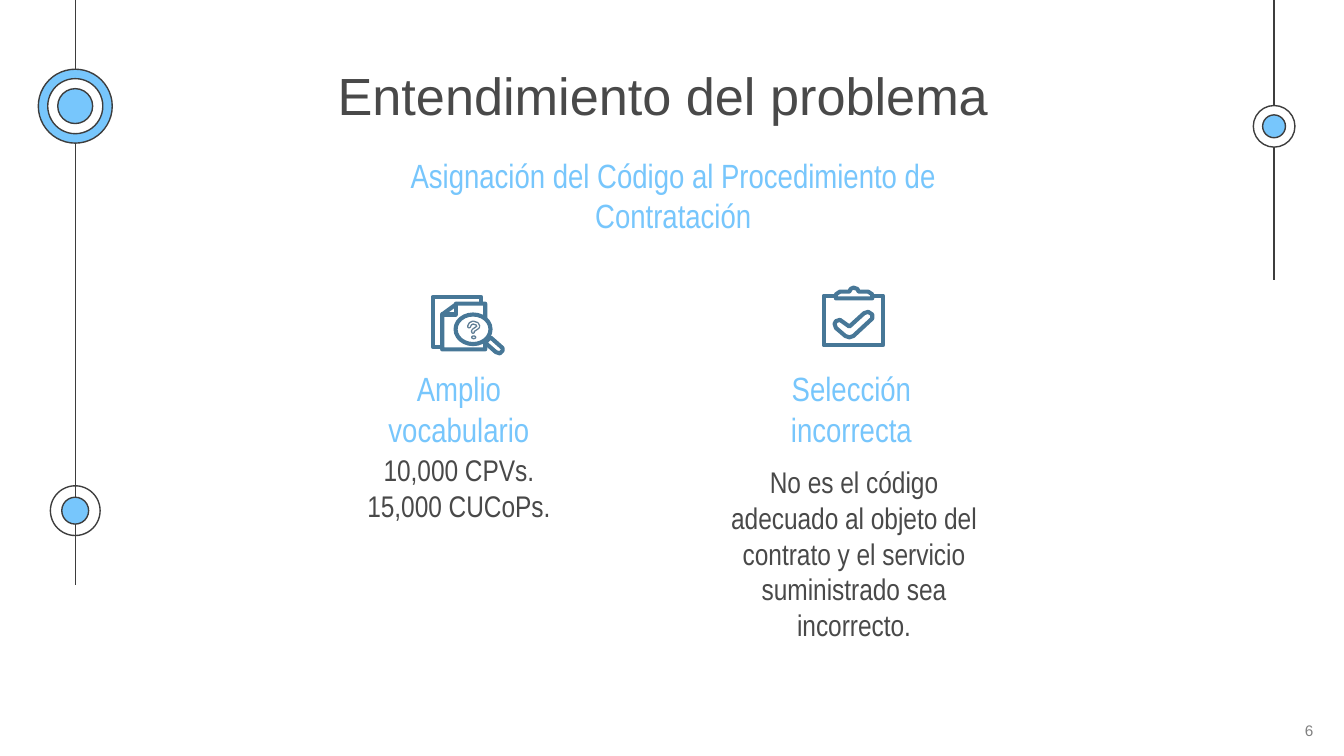
from dataclasses import dataclass

import pptx
import pptx.dml.color
import pptx.enum.shapes
import pptx.enum.text
import pptx.oxml
import pptx.util
from pptx.util import Inches


def rgb(value):
    return pptx.dml.color.RGBColor.from_string(value)


@dataclass(frozen=True)
class Theme:
    ink = rgb("494949")
    rule = rgb("3D3D3D")
    accent = rgb("77C6FC")
    icon = rgb("477797")
    mark = rgb("5F7D95")
    muted = rgb("808080")
    white = rgb("FFFFFF")
    body_font = "Arial Narrow"
    head_font = "Arial"
    title_size = 28
    heading_size = 18
    body_size = 16
    number_size = 8.2
    rule_width = 0.75
    icon_width = 2.2


THEME = Theme()
ANCHOR = pptx.enum.text.MSO_ANCHOR
ALIGN = pptx.enum.text.PP_ALIGN


def apply_format(target, values):
    for name, value in values.items():
        setattr(target, name, value)


def write_text(box, lines, size, color, font=THEME.body_font,
               align=ALIGN.CENTER, inset_y=0.1):
    frame = box.text_frame
    apply_format(frame, {
        "word_wrap": True, "vertical_anchor": ANCHOR.TOP,
        "auto_size": pptx.enum.text.MSO_AUTO_SIZE.NONE,
        "margin_left": Inches(0.1), "margin_right": Inches(0.1),
        "margin_top": Inches(inset_y), "margin_bottom": Inches(inset_y),
    })
    for index, line in enumerate(lines):
        para = frame.add_paragraph() if index else frame.paragraphs[0]
        apply_format(para, {"alignment": align, "line_spacing": 1.0,
                            "space_before": pptx.util.Pt(0)})
        span = para.add_run()
        span.text = line
        apply_format(span.font, {"name": font, "bold": False,
                                 "size": pptx.util.Pt(size)})
        span.font.color.rgb = color


def add_text(page, area, lines, size, color, **options):
    box = page.shapes.add_textbox(*map(Inches, area))
    write_text(box, lines, size, color, **options)


def add_title(page, area, text):
    title = page.shapes.title
    places = dict(zip(("left", "top", "width", "height"), map(Inches, area)))
    apply_format(title, places)
    write_text(title, [text], THEME.title_size, THEME.ink, THEME.head_font)


def add_rule(page, x, bottom):
    """Draw a vertical line from the top edge of the slide."""
    rule = page.shapes.add_connector(
        pptx.enum.shapes.MSO_CONNECTOR.STRAIGHT,
        Inches(x), 0, Inches(x), Inches(bottom))
    rule.line.color.rgb = THEME.rule
    rule.line.width = pptx.util.Pt(THEME.rule_width)
    rule._element.spPr.append(pptx.oxml.parse_xml(
        '<a:effectLst xmlns:a='
        '"http://schemas.openxmlformats.org/drawingml/2006/main"/>'))


def style_shape(shape, fill, color, width):
    shape.shadow.inherit = False
    if fill is None:
        shape.fill.background()
    else:
        shape.fill.solid()
        shape.fill.fore_color.rgb = fill
    shape.line.color.rgb = color
    shape.line.width = pptx.util.Pt(width)


def add_oval(page, area, fill, color, width):
    oval = page.shapes.add_shape(
        pptx.enum.shapes.MSO_SHAPE.OVAL, *map(Inches, area))
    style_shape(oval, fill, color, width)


def add_target(page, x, y, rings):
    """Draw concentric circles from (diameter, fill) pairs, largest first."""
    for size, fill in rings:
        add_oval(page, (x - size / 2, y - size / 2, size, size),
                 fill, THEME.rule, THEME.rule_width)


def add_stroke(page, points, close=False, fill=None, color=THEME.icon,
               width=THEME.icon_width):
    corners = [(Inches(x), Inches(y)) for x, y in points]
    builder = page.shapes.build_freeform(*corners[0], scale=1.0)
    builder.add_line_segments(corners[1:], close=close)
    shape = builder.convert_to_shape()
    style_shape(shape, fill, color, width)
    outline = shape.line._get_or_add_ln()
    outline.set("cap", "rnd")
    outline.append(pptx.oxml.parse_xml(
        '<a:round xmlns:a='
        '"http://schemas.openxmlformats.org/drawingml/2006/main"/>'))


def add_search_icon(page):
    back_page = [(3.58, 2.25), (3.58, 2.21), (3.22, 2.21), (3.22, 2.58), (3.28, 2.58)]
    front_page = [(3.4, 2.26), (3.61, 2.26), (3.61, 2.6), (3.29, 2.6), (3.29, 2.34)]
    fold = [(3.29, 2.34), (3.39, 2.34), (3.39, 2.26)]
    handle = [(3.65, 2.51), (3.74, 2.59), (3.74, 2.61), (3.72, 2.63),
              (3.69, 2.62), (3.61, 2.55)]
    question = [(3.49, 2.43), (3.5, 2.41), (3.52, 2.4), (3.55, 2.41),
                (3.56, 2.43), (3.55, 2.44), (3.52, 2.46), (3.52, 2.47)]
    add_stroke(page, back_page)
    add_stroke(page, front_page, close=True, fill=THEME.white)
    add_stroke(page, fold)
    add_stroke(page, handle, close=True, fill=THEME.white)
    add_oval(page, (3.39, 2.34, 0.26, 0.22), THEME.white, THEME.icon,
             THEME.icon_width)
    for color, width in ((THEME.mark, 2.2), (THEME.white, 0.7)):
        add_stroke(page, question, color=color, width=width)
    add_oval(page, (3.51, 2.5, 0.03, 0.02), THEME.white, THEME.mark, 0.7)


def add_clipboard_icon(page):
    board = [(6.13, 2.2), (6.57, 2.2), (6.57, 2.57), (6.13, 2.57)]
    clip = [(6.22, 2.22), (6.22, 2.19), (6.25, 2.17), (6.32, 2.17),
            (6.33, 2.15), (6.35, 2.14), (6.38, 2.15), (6.39, 2.17),
            (6.46, 2.17), (6.49, 2.19), (6.49, 2.22)]
    check = [(6.22, 2.39), (6.25, 2.38), (6.32, 2.43), (6.43, 2.33),
             (6.46, 2.32), (6.49, 2.34), (6.49, 2.37), (6.35, 2.5),
             (6.32, 2.51), (6.29, 2.5), (6.22, 2.44), (6.21, 2.41)]
    add_stroke(page, board, close=True)
    add_stroke(page, clip, close=True, fill=THEME.white)
    add_stroke(page, check, close=True)


def main():
    deck = pptx.Presentation()
    deck.slide_width, deck.slide_height = Inches(10), Inches(10 * 9 / 16)
    page = deck.slides.add_slide(deck.slide_layouts[5])

    left_x, right_x = 0.56, 9.48
    add_rule(page, left_x, 4.35)
    add_rule(page, right_x, 2.08)
    add_target(page, left_x, 3.8, [(0.37, None), (0.2, THEME.accent)])
    add_target(page, right_x, 0.94, [(0.31, THEME.white), (0.17, THEME.accent)])
    add_target(page, left_x, 0.79, [(0.55, THEME.accent), (0.41, THEME.white),
                                    (0.26, THEME.accent)])

    add_title(page, (1.88, 0.37, 6.1, 0.65), "Entendimiento del problema")
    headings = [
        ((2.58, 1.05, 4.86, 0.36),
         "Asignación del Código al Procedimiento de Contratación"),
        ((2.46, 2.64, 1.91, 0.36), "Amplio vocabulario"),
        ((5.38, 2.64, 1.91, 0.36), "Selección incorrecta"),
    ]
    for area, text in headings:
        add_text(page, area, [text], THEME.heading_size, THEME.accent)
    details = [
        ((2.45, 3.26, 1.93, 0.94), ["10,000 CPVs.", "15,000 CUCoPs."]),
        ((5.24, 3.35, 2.23, 0.8),
         ["No es el código adecuado al objeto del contrato y el servicio "
          "suministrado sea incorrecto."]),
    ]
    for area, lines in details:
        add_text(page, area, lines, THEME.body_size, THEME.ink)

    add_search_icon(page)
    add_clipboard_icon(page)
    add_text(page, (9.61, 5.32, 0.39, 0.24), ["6"], THEME.number_size,
             THEME.muted, font=THEME.head_font, align=ALIGN.LEFT, inset_y=0.05)
    deck.save("out.pptx")


if __name__ == "__main__":
    main()
